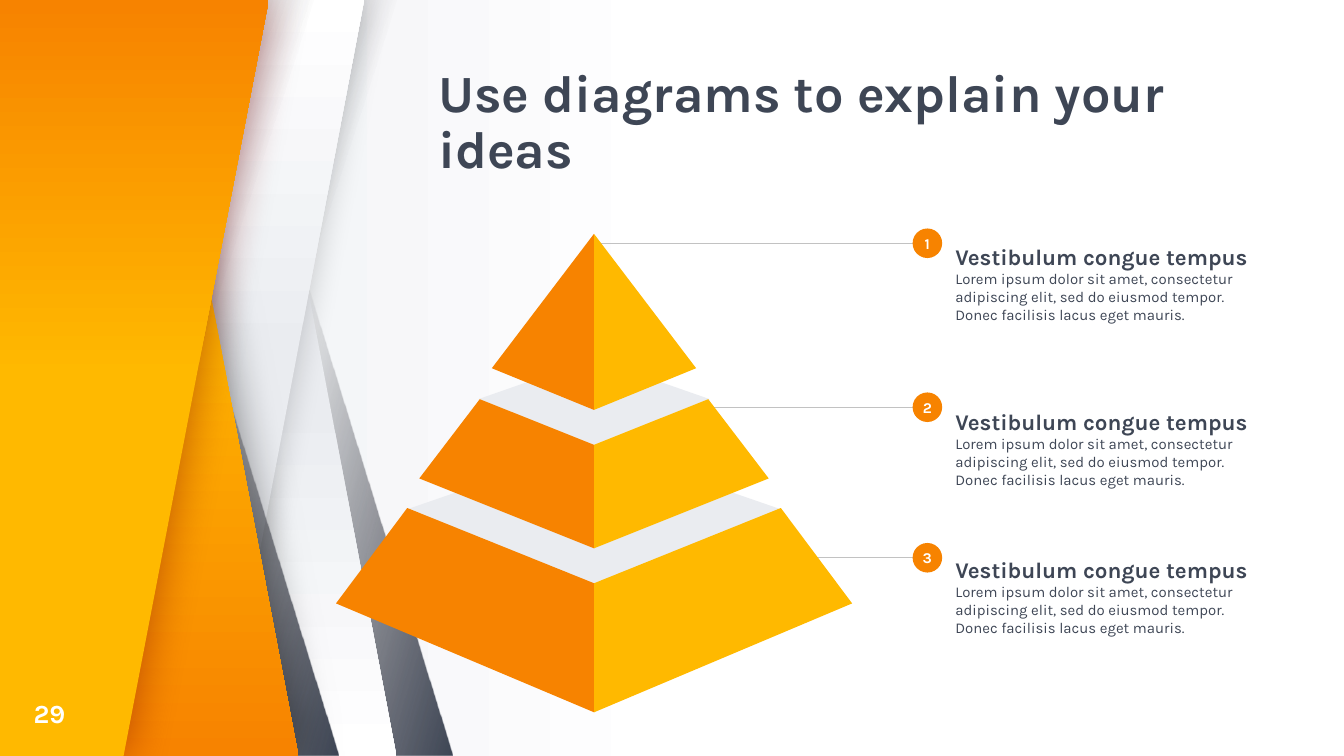
"""Build a slide with a three-level pyramid diagram and numbered captions."""
from lxml import etree
from pptx import Presentation
from pptx.dml.color import RGBColor
from pptx.enum.shapes import MSO_CONNECTOR, MSO_SHAPE
from pptx.enum.text import MSO_ANCHOR, MSO_AUTO_SIZE, PP_ALIGN
from pptx.oxml.ns import qn
from pptx.util import Inches, Pt

PARALLELOGRAM, OVAL = MSO_SHAPE.PARALLELOGRAM, MSO_SHAPE.OVAL
STRAIGHT = MSO_CONNECTOR.STRAIGHT
MIDDLE, BOTTOM = MSO_ANCHOR.MIDDLE, MSO_ANCHOR.BOTTOM
LEFT, CENTER = PP_ALIGN.LEFT, PP_ALIGN.CENTER
NO_FIT = MSO_AUTO_SIZE.NONE

ORANGE = RGBColor(0xF7, 0x83, 0x00)
YELLOW = RGBColor(0xFF, 0xB9, 0x00)
SLATE = RGBColor(0x3E, 0x46, 0x55)
INK = RGBColor(0x27, 0x25, 0x2C)
PALE = RGBColor(0xEA, 0xEC, 0xF0)
WHITE = RGBColor(0xFF, 0xFF, 0xFF)
GRAY = RGBColor(0xC2, 0xC2, 0xC2)
FONT = "Karla"
W = 10
H = W * 9 / 16
CENTER_X = 4.42

prs = Presentation()
prs.slide_width, prs.slide_height = Inches(W), Inches(H)
s = prs.slides.add_slide(prs.slide_layouts[5])


def set_gradient(fill, start, first, last, angle):
    fill.gradient()
    fill.gradient_angle = (360 - angle) % 360
    for stop, position, color in zip(fill.gradient_stops, (start, 1), (first, last)):
        stop.position = position
        stop.color.rgb = color


def add_polygon(points):
    pts = [(Inches(x), Inches(y)) for x, y in points]
    builder = s.shapes.build_freeform(*pts[0], scale=1.0)
    builder.add_line_segments(pts[1:], close=True)
    shape = builder.convert_to_shape()
    shape.shadow.inherit = False
    shape.line.fill.background()
    return shape


set_gradient(s.background.fill, 0.5, WHITE, PALE, 180)

back_panel = [(0, 0), (0, H), (2.22, H), (1.15, 0)]
front_panel = [(0, H), (0, 0), (2, 0), (0.92, H)]
bands = [
    (1.07, True, 0.753, (0.45, INK, SLATE, 164), None),
    (0.65, True, 0.463, (0.53, PALE, WHITE, 90), None),
    (0.65, False, 0.753, (0.44, INK, SLATE, 198), None),
    (0.41, False, 0.463, (0.53, PALE, WHITE, 270), ("000000", 20, 16.9)),
    (0.22, True, 0.753, (0.45, INK, SLATE, 164), None),
    (back_panel, False, None, (0.37, YELLOW, ORANGE, 90), ("000000", 50, 24.7)),
    (0.03, False, 0.753, (0.44, INK, SLATE, 198), None),
    (front_panel, False, None, (0.5, YELLOW, ORANGE, 270), ("7E0808", 50, 24.7)),
]
for place, flipped, slant, gradient, shadow in bands:
    if slant is None:
        band = add_polygon(place)
    else:
        band = s.shapes.add_shape(PARALLELOGRAM, Inches(place), 0, Inches(2.3), Inches(H))
        band.adjustments[0] = slant
        band.shadow.inherit = False
        band.line.fill.background()
    if flipped:
        band.element.spPr.find(qn("a:xfrm")).set("flipH", "1")
    set_gradient(band.fill, *gradient)
    if gradient[1] == INK:
        ink = band.element.spPr.find(".//" + qn("a:srgbClr"))
        etree.SubElement(ink, qn("a:alpha")).set("val", "0")
    if shadow:
        color, opacity, blur = shadow
        effects = band.element.spPr.find(qn("a:effectLst"))
        outer = etree.SubElement(effects, qn("a:outerShdw"), blurRad=str(Pt(blur)),
                                 dist="0", dir="0", algn="ctr", rotWithShape="0")
        tint = etree.SubElement(outer, qn("a:srgbClr"), val=color)
        etree.SubElement(tint, qn("a:alpha"), val=str(opacity * 1000))

title = s.shapes.title
title.left, title.top, title.width, title.height = map(Inches, (3.26, 0.91, 5.97, 0.43))
number = s.shapes.add_textbox(Inches(0.25), Inches(5.17), Inches(0.4), Inches(0.27))
for box, text, size, color, anchor in (
    (title, "Use diagrams to explain your ideas", 28, SLATE, BOTTOM),
    (number, "29", 14, WHITE, MIDDLE),
):
    tf = box.text_frame
    tf.text = text
    tf.word_wrap = True
    tf.auto_size = NO_FIT
    tf.vertical_anchor = anchor
    tf.margin_left = tf.margin_right = tf.margin_top = tf.margin_bottom = 0
    p = tf.paragraphs[0]
    p.alignment = LEFT
    r = p.runs[0]
    r.font.name, r.font.size, r.font.bold = FONT, Pt(size), True
    r.font.color.rgb = color
title.text_frame.paragraphs[0].line_spacing = 0.9

captions = [(1.81, 4.42, 1.35), (3.03, 5.21, 2.58), (4.15, 5.74, 3.68)]
for level, (y, line_left, text_top) in enumerate(captions, 1):
    leader = s.shapes.add_connector(STRAIGHT, Inches(line_left), Inches(y), Inches(6.93), Inches(y))
    leader.line.color.rgb = GRAY
    leader.line.width = Pt(0.75)
    etree.SubElement(leader.element.spPr, qn("a:effectLst"))

    caption = s.shapes.add_textbox(Inches(7.01), Inches(text_top), Inches(2.46), Inches(1.51))
    tf = caption.text_frame
    tf.word_wrap = True
    tf.vertical_anchor = MIDDLE
    tf.margin_top = tf.margin_bottom = Inches(0.1)
    tf.text = ("Vestibulum congue tempus\nLorem ipsum dolor sit amet, consectetur adipiscing elit, "
               "sed do eiusmod tempor. Donec facilisis lacus eget mauris.")
    for p, size, bold in zip(tf.paragraphs, (12, 8), (True, False)):
        r = p.runs[0]
        r.font.name, r.font.size, r.font.bold = FONT, Pt(size), bold
        r.font.color.rgb = SLATE
    tf.paragraphs[1].space_after = Pt(16)

    badge = s.shapes.add_shape(OVAL, Inches(6.79), Inches(y - 0.11), Inches(0.22), Inches(0.22))
    badge.shadow.inherit = False
    badge.fill.solid()
    badge.fill.fore_color.rgb = ORANGE
    badge.line.fill.background()
    tf = badge.text_frame
    tf.text = str(level)
    tf.word_wrap = False
    tf.vertical_anchor = MIDDLE
    tf.margin_left = tf.margin_right = tf.margin_top = tf.margin_bottom = 0
    p = tf.paragraphs[0]
    p.alignment = CENTER
    r = p.runs[0]
    r.font.name, r.font.size, r.font.bold = FONT, Pt(8), True
    r.font.color.rgb = WHITE

pyramid = [
    ([(3.03, 3.79), (4.42, 4.35), (5.81, 3.79), (4.42, 3.31)],
     [(3.03, 3.78), (2.5, 4.49), (4.42, 5.3), (4.42, 4.34)]),
    ([(3.56, 2.97), (4.42, 3.31), (5.28, 2.97), (4.42, 2.67)],
     [(3.57, 2.97), (4.42, 3.31), (4.42, 4.08), (3.12, 3.56)]),
    (None, [(4.42, 1.74), (3.66, 2.74), (4.42, 3.05)]),
]
for top_face, left_face in pyramid:
    right_face = [(2 * CENTER_X - x, y) for x, y in left_face]
    for face, color in ((top_face, PALE), (left_face, ORANGE), (right_face, YELLOW)):
        if face:
            side = add_polygon(face)
            side.fill.solid()
            side.fill.fore_color.rgb = color

prs.save("out.pptx")
